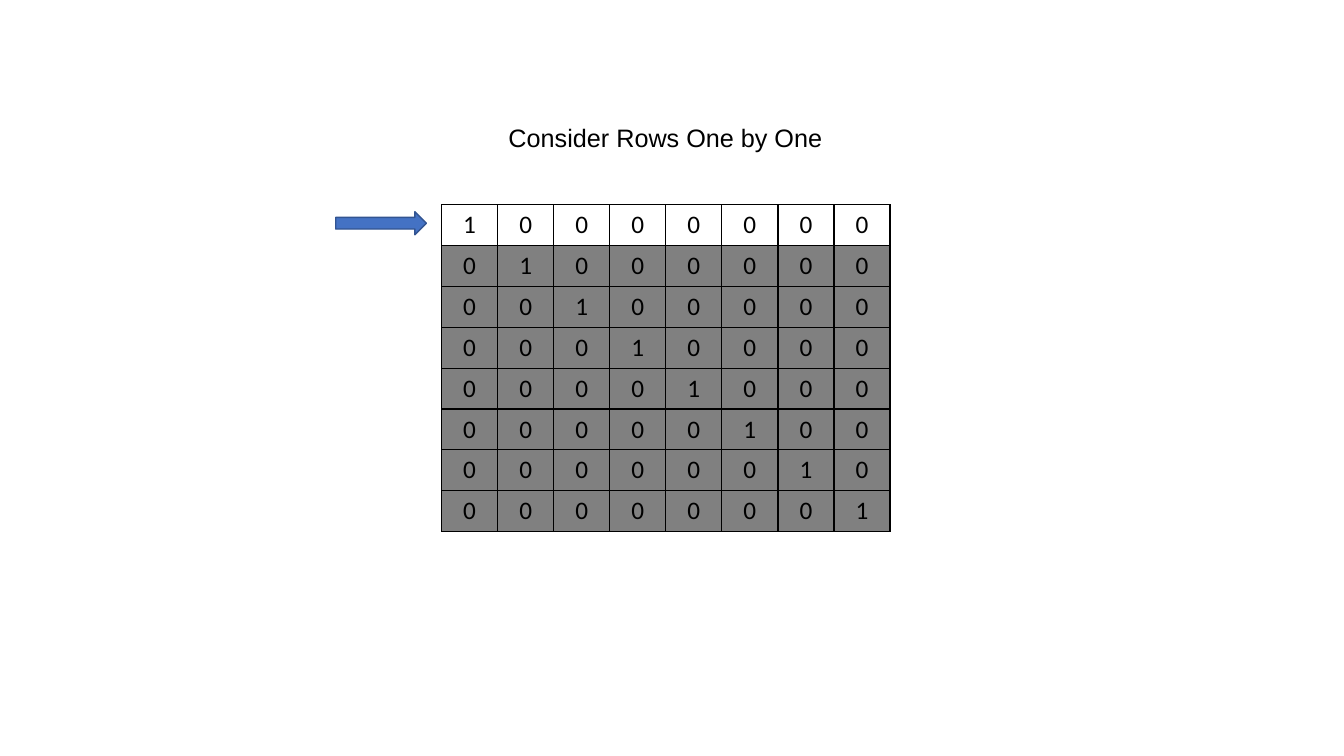
from pptx import Presentation
from pptx.dml.color import RGBColor
from pptx.enum import shapes, text
from pptx.oxml import ns, xmlchemy
from pptx.util import Inches, Pt

BLACK = RGBColor(0x00, 0x00, 0x00)
GRAY = RGBColor(0x80, 0x80, 0x80)
BLUE = RGBColor(0x44, 0x72, 0xC4)
DARK_BLUE = RGBColor(0x32, 0x54, 0x91)

SIZE = 8
ACTIVE_ROW = 0


def add_span(para, wording, font):
    para.alignment = text.PP_ALIGN.CENTER
    span = para.add_run()
    span.text = wording
    span.font.name = font
    span.font.size = Pt(18)
    span.font.color.rgb = BLACK


def add_title(page, wording):
    box = page.shapes.add_textbox(Inches(3.87), Inches(1.16), Inches(5.46), Inches(0.4))
    box.text_frame.word_wrap = True
    box.text_frame.auto_size = text.MSO_AUTO_SIZE.SHAPE_TO_FIT_TEXT
    add_span(box.text_frame.paragraphs[0], wording, "Arial")


def add_borders(cell):
    properties = cell._tc.get_or_add_tcPr()
    for side in ("lnL", "lnR", "lnT", "lnB"):
        line = xmlchemy.OxmlElement(f"a:{side}")
        line.set("w", str(Pt(1)))
        fill = line.makeelement(ns.qn("a:solidFill"))
        color = line.makeelement(ns.qn("a:srgbClr"), {"val": str(BLACK)})
        fill.append(color)
        line.append(fill)
        properties.append(line)


def add_matrix(page):
    frame = page.shapes.add_table(
        SIZE, SIZE, Inches(4.38), Inches(2.03), Inches(4.45), Inches(3.24)
    )
    table = frame.table
    table.first_row = False
    table.horz_banding = False
    for row in range(SIZE):
        for column in range(SIZE):
            cell = table.cell(row, column)
            cell.vertical_anchor = text.MSO_ANCHOR.MIDDLE
            add_span(cell.text_frame.paragraphs[0], str(int(row == column)), "Calibri")
            add_borders(cell)
            if row == ACTIVE_ROW:
                cell.fill.background()
            else:
                cell.fill.solid()
                cell.fill.fore_color.rgb = GRAY


def add_row_arrow(page):
    arrow = page.shapes.add_shape(
        shapes.MSO_SHAPE.RIGHT_ARROW, Inches(3.33), Inches(2.1), Inches(0.9), Inches(0.23)
    )
    arrow.shadow.inherit = False
    arrow.fill.solid()
    arrow.fill.fore_color.rgb = BLUE
    arrow.line.color.rgb = DARK_BLUE
    arrow.line.width = Pt(1)


def main():
    deck = Presentation()
    deck.slide_width = Inches(13.33)
    deck.slide_height = Inches(7.5)
    page = deck.slides.add_slide(deck.slide_layouts[6])
    add_matrix(page)
    add_row_arrow(page)
    add_title(page, "Consider Rows One by One")
    deck.save("out.pptx")


if __name__ == "__main__":
    main()
